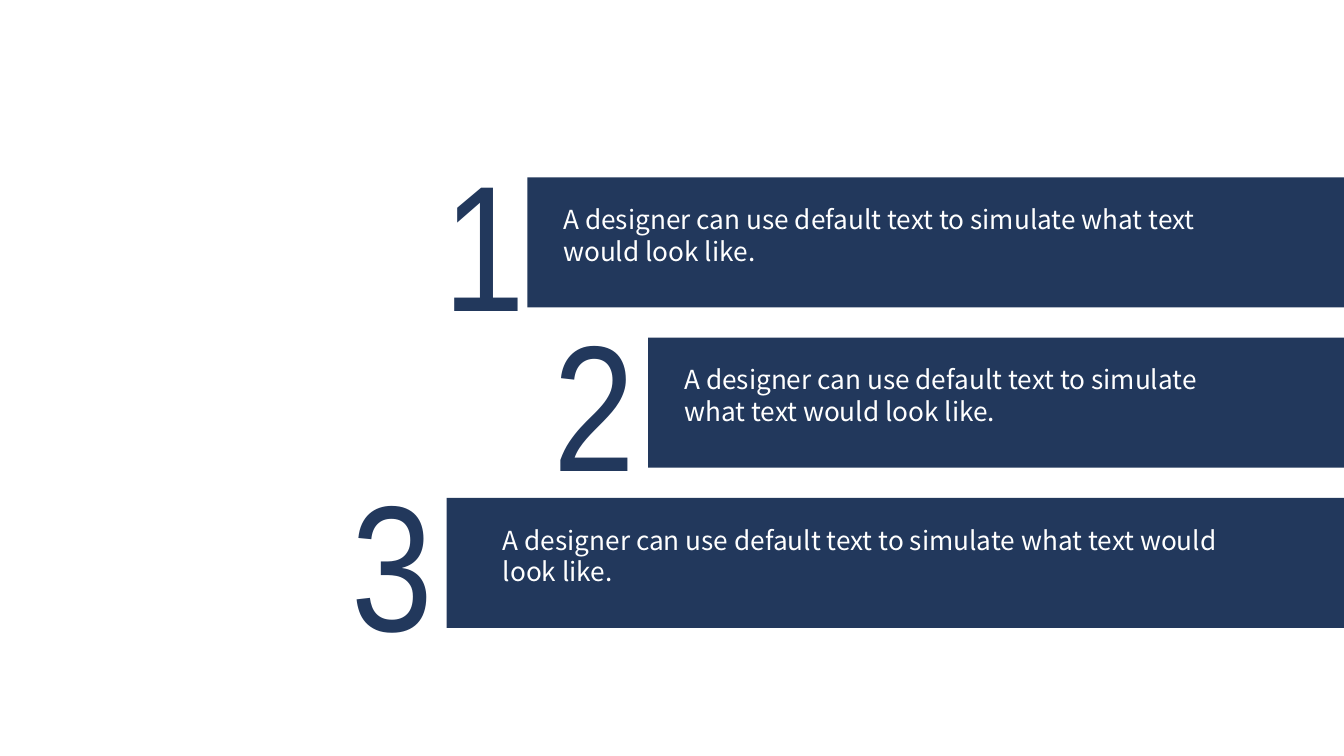
from dataclasses import dataclass

from pptx import Presentation
from pptx.dml.color import RGBColor
from pptx.enum import shapes, text
from pptx.util import Pt


@dataclass(frozen=True)
class Theme:
    navy: RGBColor = RGBColor(0x22, 0x38, 0x5C)
    white: RGBColor = RGBColor(0xFF, 0xFF, 0xFF)
    body_font: str = "Noto Sans CJK SC"
    number_font: str = "Arial Narrow"
    body_size: float = 18.7
    number_size: float = 128


THEME = Theme()
PAGE_WIDTH, PAGE_HEIGHT = 960, 540
FIRST_TOP, ROW_STEP, BAR_HEIGHT = 126.7, 114.5, 92.9
TEXT_RIGHT = 906.5
MESSAGE = "A designer can use default text to simulate what text would look like."
# Left edges of bar, message and number; width of the number
ROWS = [
    (376.6, 395.3, 309.6, 46.1),
    (463, 481.7, 388.1, 63.4),
    (319, 352.1, 244.1, 63.4),
]


def add_bar(page, left, top):
    bar = page.shapes.add_shape(
        shapes.MSO_SHAPE.RECTANGLE,
        Pt(left), Pt(top), Pt(PAGE_WIDTH - left), Pt(BAR_HEIGHT),
    )
    bar.shadow.inherit = False
    bar.fill.solid()
    bar.fill.fore_color.rgb = THEME.navy
    bar.line.fill.background()


def add_text(page, words, left, top, width, height, font, size, color, wrap=True):
    box = page.shapes.add_textbox(Pt(left), Pt(top), Pt(width), Pt(height))
    frame = box.text_frame
    frame.word_wrap = wrap
    frame.auto_size = text.MSO_AUTO_SIZE.SHAPE_TO_FIT_TEXT
    para = frame.paragraphs[0]
    para.text = words
    para.font.name = font
    para.font.size = Pt(size)
    para.font.color.rgb = color


def main():
    deck = Presentation()
    deck.slide_width, deck.slide_height = Pt(PAGE_WIDTH), Pt(PAGE_HEIGHT)
    page = deck.slides.add_slide(deck.slide_layouts[6])
    for index, (bar_left, text_left, number_left, number_width) in enumerate(ROWS):
        top = FIRST_TOP + index * ROW_STEP
        add_bar(page, bar_left, top)
        add_text(page, MESSAGE, text_left, top + 15.1, TEXT_RIGHT - text_left, 52.6,
                 THEME.body_font, THEME.body_size, THEME.white)
        add_text(page, str(index + 1), number_left, top - 36, number_width, 162.7,
                 THEME.number_font, THEME.number_size, THEME.navy, wrap=False)
    deck.save("out.pptx")


if __name__ == "__main__":
    main()
